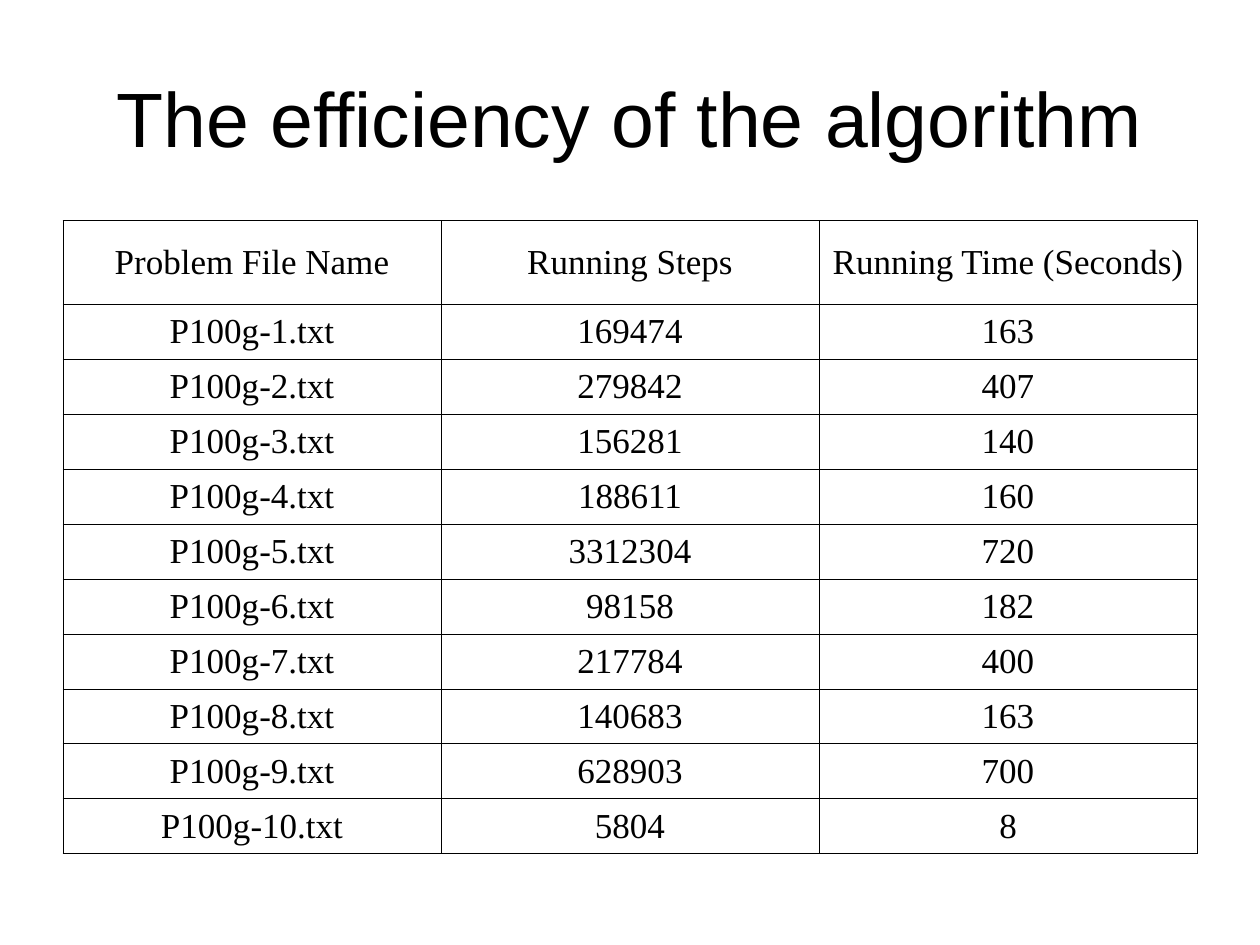
from lxml import etree
from pptx import Presentation
from pptx.dml.color import RGBColor
from pptx.enum.text import MSO_ANCHOR, PP_ALIGN
from pptx.oxml.ns import qn
from pptx.util import Pt

CENTER = PP_ALIGN.CENTER
MIDDLE = MSO_ANCHOR.MIDDLE
BLACK = "000000"

LEFT, WIDTH = 36, 648
HEAD_H, ROW_H = 48, 31.4
HEADS = ("Problem File Name", "Running Steps", "Running Time (Seconds)")
STEPS = (169474, 279842, 156281, 188611, 3312304,
         98158, 217784, 140683, 628903, 5804)
TIMES = (163, 407, 140, 160, 720, 182, 400, 163, 700, 8)


def color(code):
    return RGBColor.from_string(code)


def write(frame, text, face, size):
    """Put one centred line of text into a frame."""
    par = frame.paragraphs[0]
    par.text = text
    par.alignment = CENTER
    par.font.name = face
    par.font.size = Pt(size)
    par.font.color.rgb = color(BLACK)


def add_title(slide, text):
    box = slide.shapes.add_textbox(Pt(LEFT), Pt(21.6), Pt(WIDTH), Pt(90))
    frame = box.text_frame
    frame.word_wrap = True
    frame.vertical_anchor = MIDDLE
    write(frame, text, "Arial", 44)


def add_border(cell, code, width):
    props = cell._tc.get_or_add_tcPr()
    for side in ("lnL", "lnR", "lnT", "lnB"):
        line = etree.SubElement(props, qn(f"a:{side}"), w=str(Pt(width)))
        fill = etree.SubElement(line, qn("a:solidFill"))
        etree.SubElement(fill, qn("a:srgbClr"), val=code)


def add_grid(slide, rows):
    """Add a ruled table whose first row is taller than the rest."""
    height = HEAD_H + ROW_H * (len(rows) - 1)
    table = slide.shapes.add_table(
        len(rows), len(rows[0]), Pt(LEFT), Pt(126), Pt(WIDTH), Pt(height)).table
    table.horz_banding = False
    for r, row in enumerate(rows):
        table.rows[r].height = Pt(ROW_H if r else HEAD_H)
        for c, value in enumerate(row):
            cell = table.cell(r, c)
            cell.vertical_anchor = MIDDLE
            write(cell.text_frame, str(value), "Times New Roman", 20)
            cell.text_frame.paragraphs[0].font.bold = False
            add_border(cell, BLACK, 0.45)
            cell.fill.background()


def main():
    deck = Presentation()
    deck.slide_width, deck.slide_height = Pt(720), Pt(540)
    slide = deck.slides.add_slide(deck.slide_layouts[6])
    add_title(slide, "The efficiency of the algorithm")
    runs = enumerate(zip(STEPS, TIMES), 1)
    add_grid(slide, [HEADS] + [(f"P100g-{n}.txt", *run) for n, run in runs])
    deck.save("out.pptx")


if __name__ == "__main__":
    main()
